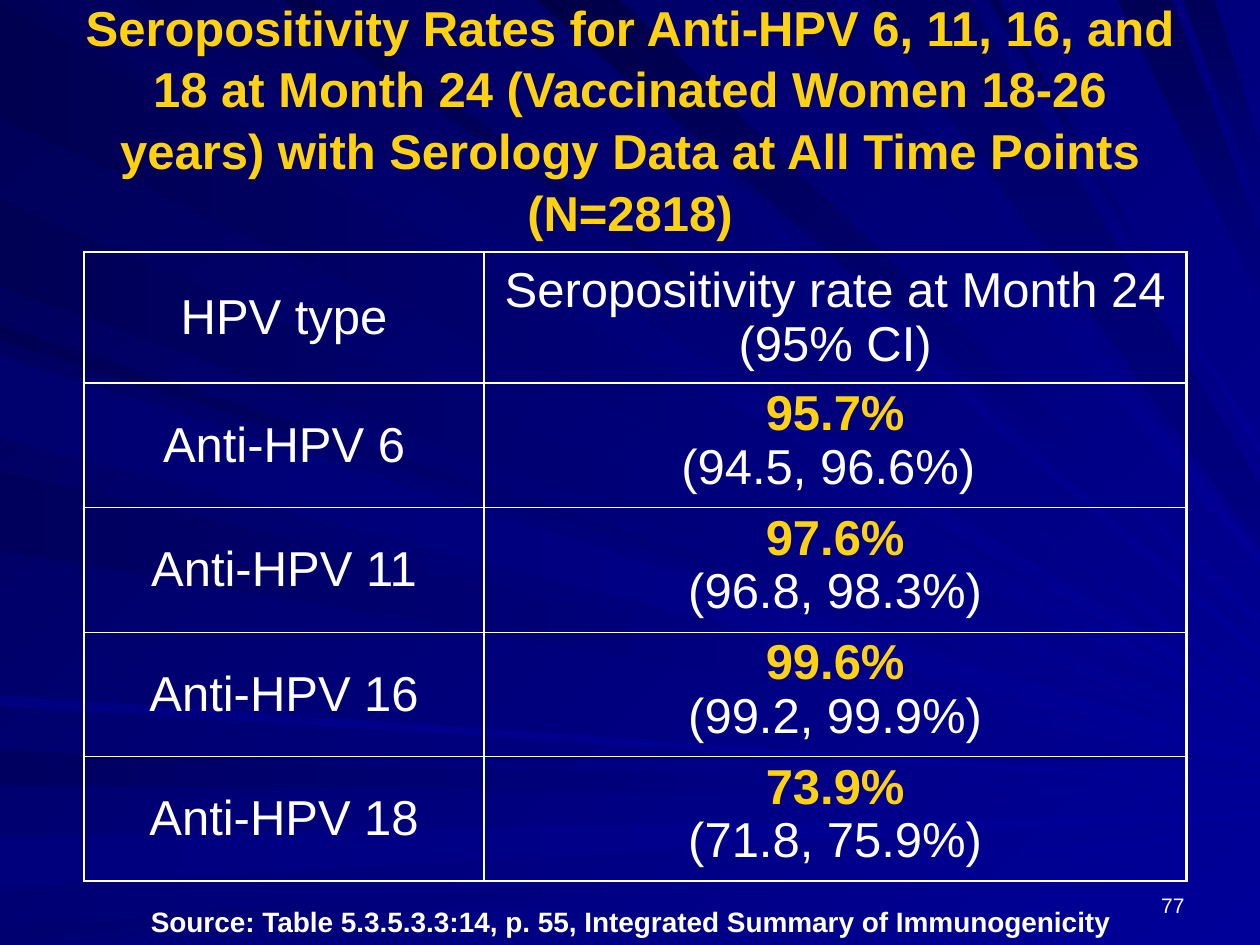
from pptx import Presentation
from pptx.dml.color import RGBColor
from pptx.enum.text import MSO_ANCHOR as Anchor, PP_ALIGN as Align
from pptx.oxml.ns import qn
from pptx.util import Cm, Pt
from lxml.etree import SubElement

FONT, WHITE, GOLD, BLUE = "Arial", "FFFFFF", "FFD211", "000099"
TITLE = ("Seropositivity Rates for Anti-HPV 6, 11, 16, and 18 at Month 24 "
         "(Vaccinated Women 18-26 years) with Serology Data at All Time Points (N=2818)")
HEADER = ("HPV type", "Seropositivity rate at Month 24 (95% CI)")
RATES = [
    ("Anti-HPV 6", "95.7%", "(94.5, 96.6%) "),
    ("Anti-HPV 11", "97.6%", "(96.8, 98.3%)"),
    ("Anti-HPV 16", "99.6%", "(99.2, 99.9%)"),
    ("Anti-HPV 18", "73.9%", "(71.8, 75.9%)"),
]
SOURCE = "Source: Table 5.3.5.3.3:14, p. 55, Integrated Summary of Immunogenicity"
PAGE = "77"
COLUMNS = (8.05, 14.17)
HEADER_HEIGHT, ROW_HEIGHT = 2.64, 2.51
THICK, THIN = 1.47, 0.45

# Background rays narrow towards the right edge.
# Each: start and end on the left or top edge, height at the right edge, dark colour
RAY_UNIT = Cm(0.0254)
RIGHT = 1000
LEFT_RAYS = [
    (2, 93, 570, "000051"),
    (596, 623, 632, "000060"),
    (665, 704, 647, "00007C"),
    (735, 750, 662, "00006E"),
    (258, 270, 589, "000053"),
    (159, 228, 585, "000055"),
    (278, 342, 600, "000060"),
    (374, 437, 605, "00005C"),
    (552, 560, 622, "000081"),
    (283, 347, 604, "00006E"),
]
TOP_RAYS = [
    (26, 101, 562, "00005C"),
    (398, 416, 518, "00006A"),
    (426, 492, 493, "000046"),
    (606, 661, 445, "000064"),
    (225, 247, 549, "00004A"),
    (785, 792, 357, "000057"),
]
STEEP_RAYS = [
    (887, 930, 210, "000055"),
    (939, 964, 140, "000059"),
    (686, 770, 409, "000064"),
]


def rgb(value):
    return RGBColor.from_string(value)


def paint(fill, start, end, angle):
    """Two-colour gradient with a clockwise angle."""
    fill.gradient()
    fill.gradient_angle = 360 - angle
    for stop, color in zip(fill.gradient_stops, (start, end)):
        stop.color.rgb = rgb(color)


def style(paragraph, size, color=WHITE, bold=False, align=Align.CENTER):
    paragraph.alignment = align
    for run in paragraph.runs:
        run.font.name, run.font.size, run.font.bold = FONT, Pt(size), bold
        run.font.color.rgb = rgb(color)


def add_text(slide, text, box, anchor, wrap=True, **look):
    shape = slide.shapes.add_textbox(*(Cm(length) for length in box))
    frame = shape.text_frame
    frame.word_wrap, frame.vertical_anchor = wrap, anchor
    frame.text = text
    style(frame.paragraphs[0], **look)
    return frame.paragraphs[0]


def set_borders(cell, top, bottom):
    properties = cell._tc.get_or_add_tcPr()
    for side, width in (("L", THICK), ("R", THICK), ("T", top), ("B", bottom)):
        line = SubElement(properties, qn(f"a:ln{side}"), w=str(int(Pt(width))))
        solid = SubElement(line, qn("a:solidFill"))
        SubElement(solid, qn("a:srgbClr"), val=WHITE)


def add_rays(slide, rays, from_top, spread, light, angle):
    for near, far, tip, dark in rays:
        edge = [(near, 0), (far, 0)] if from_top else [(0, far), (0, near)]
        builder = slide.shapes.build_freeform(*edge[0], scale=RAY_UNIT)
        builder.add_line_segments(
            [edge[1], (RIGHT, tip - spread), (RIGHT, tip + spread)], close=True)
        ray = builder.convert_to_shape()
        ray.shadow.inherit = False
        ray.line.fill.background()
        # Downward gradients begin with the dark end
        colors = (dark, light) if angle == 90 else (light, dark)
        paint(ray.fill, *colors, angle)


def add_rates_table(slide):
    last = len(RATES)
    height = HEADER_HEIGHT + ROW_HEIGHT * last
    table = slide.shapes.add_table(last + 1, 2, Cm(1.7), Cm(5.08),
                                   Cm(sum(COLUMNS)), Cm(height)).table
    table.first_row = table.horz_banding = False
    for column, width in zip(table.columns, COLUMNS):
        column.width = Cm(width)
    contents = [HEADER] + [(name, f"{rate}\n{interval}") for name, rate, interval in RATES]
    for index, texts in enumerate(contents):
        table.rows[index].height = Cm(ROW_HEIGHT if index else HEADER_HEIGHT)
        for cell, text in zip(table.rows[index].cells, texts):
            set_borders(cell, THICK if index < 2 else THIN,
                        THICK if index in (0, last) else THIN)
            cell.fill.background()
            cell.vertical_anchor = Anchor.MIDDLE
            cell.text_frame.text = text
            paragraphs = cell.text_frame.paragraphs
            for paragraph in paragraphs:
                style(paragraph, 28)
            # Rate in gold above its interval
            if len(paragraphs) == 2:
                style(paragraphs[0], 28, GOLD, bold=True)
                paragraphs[1].space_before = Pt(7)
                for paragraph in paragraphs:
                    paragraph.line_spacing = 0.75


def main():
    presentation = Presentation()
    presentation.slide_width, presentation.slide_height = Cm(25.4), Cm(19.05)
    slide = presentation.slides.add_slide(presentation.slide_layouts[6])

    # Background
    paint(slide.background.fill, BLUE, "000057", 225)
    add_rays(slide, LEFT_RAYS, False, 1, BLUE, 180)
    add_rays(slide, TOP_RAYS, True, 3, BLUE, 225)
    add_rays(slide, STEEP_RAYS, True, 24, "000080", 90)

    # Title, table, source and page number
    title = add_text(slide, TITLE, (1.27, 0.43, 22.86, 3.89), Anchor.MIDDLE,
                     size=28, color=GOLD, bold=True)
    title.line_spacing = 1.05
    add_rates_table(slide)
    add_text(slide, SOURCE, (2.79, 18.11, 19.91, 0.94), Anchor.TOP, wrap=False,
             size=16, bold=True, align=Align.LEFT)
    add_text(slide, PAGE, (18.21, 17.35, 5.92, 1.27), Anchor.BOTTOM,
             size=12, align=Align.RIGHT)
    presentation.save("out.pptx")


if __name__ == "__main__":
    main()
